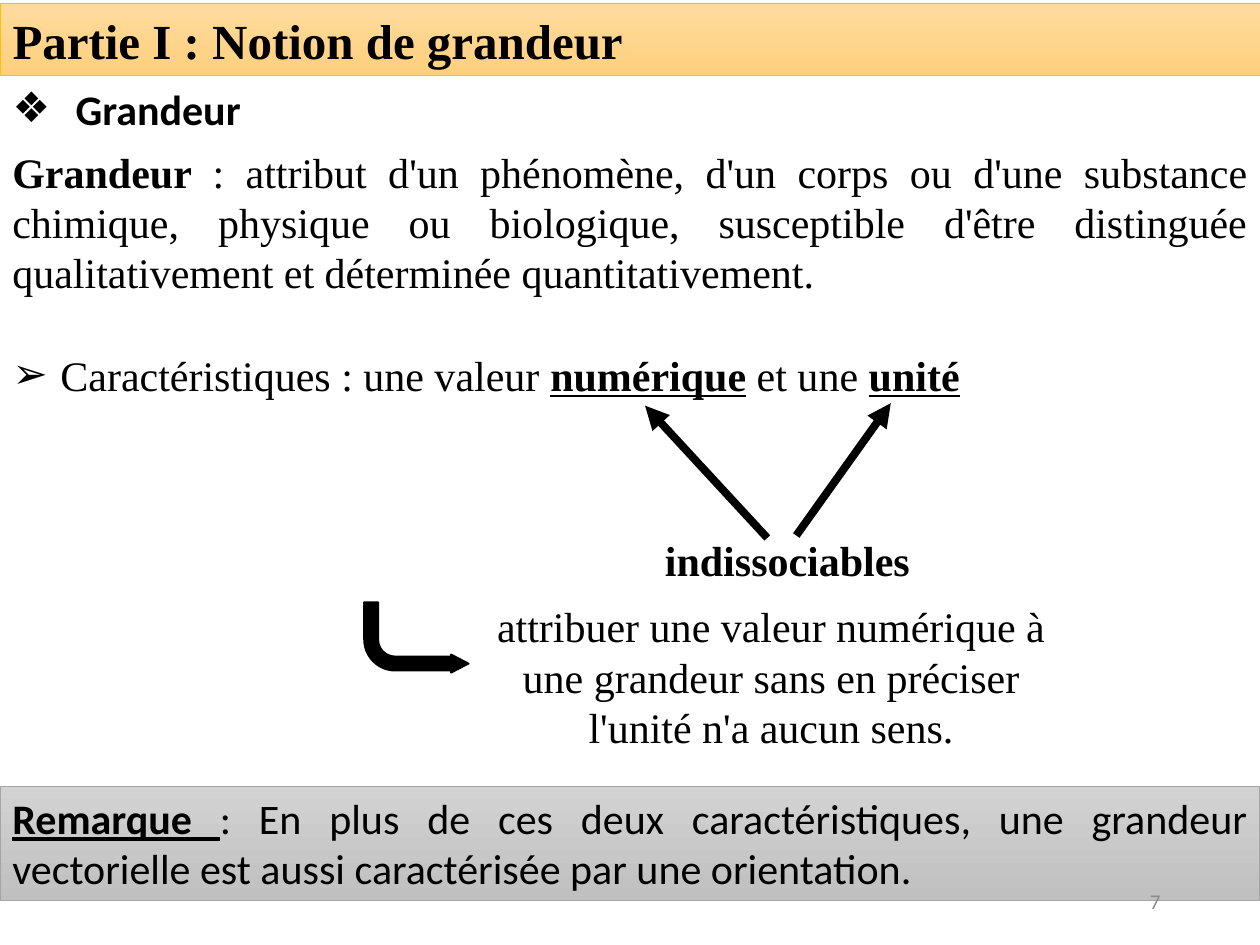
from lxml.etree import SubElement
from pptx import Presentation
from pptx.dml.color import RGBColor
from pptx.enum.shapes import MSO_CONNECTOR as CONNECTOR, MSO_SHAPE as SHAPE
from pptx.enum.text import MSO_ANCHOR as ANCHOR, MSO_AUTO_SIZE as AUTO_SIZE, PP_ALIGN as ALIGN
from pptx.oxml.ns import qn
from pptx.util import Inches, Pt

BLACK = RGBColor(0x00, 0x00, 0x00)
NUMBER_GRAY = RGBColor(0x8C, 0x8C, 0x8C)
GOLD = RGBColor(0xFF, 0xC0, 0x00)
GOLD_FADE = (RGBColor(0xFF, 0xDB, 0x9E), RGBColor(0xFF, 0xD0, 0x7C))
GRAY = RGBColor(0xA5, 0xA5, 0xA5)
GRAY_FADE = (RGBColor(0xD2, 0xD2, 0xD2), RGBColor(0xC0, 0xC0, 0xC0))
SERIF, SANS = "Times New Roman", "Calibri"

# Each text is a list of (words, style): "b" is bold, "u" is underlined
TITLE = [("Partie I\u00a0: Notion de grandeur", "b")]
HEADING = [("Grandeur", "b")]
DEFINITION = [
    ("Grandeur ", "b"),
    (": attribut d'un phénomène, d'un corps ou d'une substance chimique, physique ou "
     "biologique, susceptible d'être distinguée qualitativement et déterminée "
     "quantitativement.", ""),
]
FEATURES = [("Caractéristiques : une valeur ", ""), ("numérique", "bu"),
            (" et une ", ""), ("unité", "bu")]
INSEPARABLE = [("indissociables", "b")]
CONSEQUENCE = [("attribuer une valeur numérique à une grandeur sans en préciser "
                "l'unité n'a aucun sens.", "")]
REMARK = [
    ("Remarque ", "bu"),
    (": En plus de ces deux caractéristiques, une grandeur vectorielle est aussi "
     "caractérisée par une orientation.", ""),
]
PAGE_NUMBER = [("7", "")]
ARROWS = [((6.09, 4.27), (5.12, 3.22)), ((6.32, 4.25), (7.07, 3.2))]


def write(shape, runs, box=None, font=SERIF, size=24, color=BLACK, align=ALIGN.LEFT,
          anchor=ANCHOR.TOP, bullet=None, indent=0):
    if box:
        shape.left, shape.top, shape.width, shape.height = map(Inches, box)
    frame = shape.text_frame
    frame.word_wrap = True
    frame.auto_size = AUTO_SIZE.NONE
    frame.vertical_anchor = anchor
    paragraph = frame.paragraphs[0]
    if bullet:
        properties = paragraph._p.get_or_add_pPr()
        properties.set("marL", str(Inches(indent)))
        properties.set("indent", str(-Inches(indent)))
        SubElement(properties, qn("a:buChar")).set("char", bullet)
    paragraph.alignment = align
    paragraph.space_before = Pt(0)
    for words, style in runs:
        run = paragraph.add_run()
        run.text = words
        run.font.name = font
        run.font.size = Pt(size)
        run.font.color.rgb = color
        run.font.bold = "b" in style
        run.font.underline = "u" in style


def make_band(shape, fade, border):
    """Give the shape a top-to-bottom gradient and a thin border."""
    shape.fill.gradient()
    shape.fill.gradient_angle = 270
    for stop, color in zip(shape.fill.gradient_stops, fade):
        stop.color.rgb = color
    shape.line.color.rgb = border
    shape.line.width = Pt(0.5)


def add_text(slide, runs, box, **text_format):
    write(slide.shapes.add_textbox(*map(Inches, box)), runs, **text_format)


def add_arrow(slide, start, end):
    arrow = slide.shapes.add_connector(CONNECTOR.STRAIGHT, *map(Inches, start + end))
    arrow.line.color.rgb = BLACK
    arrow.line.width = Pt(4.5)
    SubElement(arrow.line._get_or_add_ln(), qn("a:tailEnd")).set("type", "triangle")
    SubElement(arrow._element.spPr, qn("a:effectLst"))


def add_bent_arrow(slide, box):
    arrow = slide.shapes.add_shape(SHAPE.BENT_ARROW, *map(Inches, box))
    for index, value in enumerate((0.2, 0.13, 0.25, 0.44)):
        arrow.adjustments[index] = value
    arrow._element.spPr.xfrm.set("flipV", "1")
    arrow.shadow.inherit = False
    arrow.fill.solid()
    arrow.fill.fore_color.rgb = BLACK
    arrow.line.color.rgb = BLACK
    arrow.line.width = Pt(1)


def main():
    presentation = Presentation()
    presentation.slide_width, presentation.slide_height = Inches(10), Inches(7.5)
    slide = presentation.slides.add_slide(presentation.slide_layouts.get_by_name("Two Content"))
    title, heading, features = slide.placeholders

    write(title, TITLE, box=(0, 0.03, 10, 0.57), size=28)
    make_band(title, GOLD_FADE, GOLD)
    write(heading, HEADING, box=(0, 0.61, 10, 0.5), font=SANS, bullet="❖", indent=0.5)
    add_text(slide, DEFINITION, (0, 1.11, 10, 1.31), align=ALIGN.JUSTIFY)
    write(features, FEATURES, box=(0, 2.72, 10, 0.5), align=ALIGN.JUSTIFY,
          bullet="➢", indent=0.38)

    add_text(slide, INSEPARABLE, (5, 4.19, 2.5, 0.5), align=ALIGN.CENTER)
    for start, end in ARROWS:
        add_arrow(slide, start, end)
    add_text(slide, CONSEQUENCE, (3.62, 4.72, 5, 1.31), align=ALIGN.CENTER)
    add_bent_arrow(slide, (2.89, 4.78, 0.83, 0.56))

    remark = slide.shapes.add_shape(SHAPE.RECTANGLE, *map(Inches, (0, 6.24, 10, 0.91)))
    remark.shadow.inherit = False
    make_band(remark, GRAY_FADE, GRAY)
    write(remark, REMARK, font=SANS, align=ALIGN.JUSTIFY)
    add_text(slide, PAGE_NUMBER, (7.06, 6.95, 2.25, 0.4), font=SANS, size=12,
             color=NUMBER_GRAY, align=ALIGN.RIGHT, anchor=ANCHOR.MIDDLE)

    presentation.save("out.pptx")


if __name__ == "__main__":
    main()
